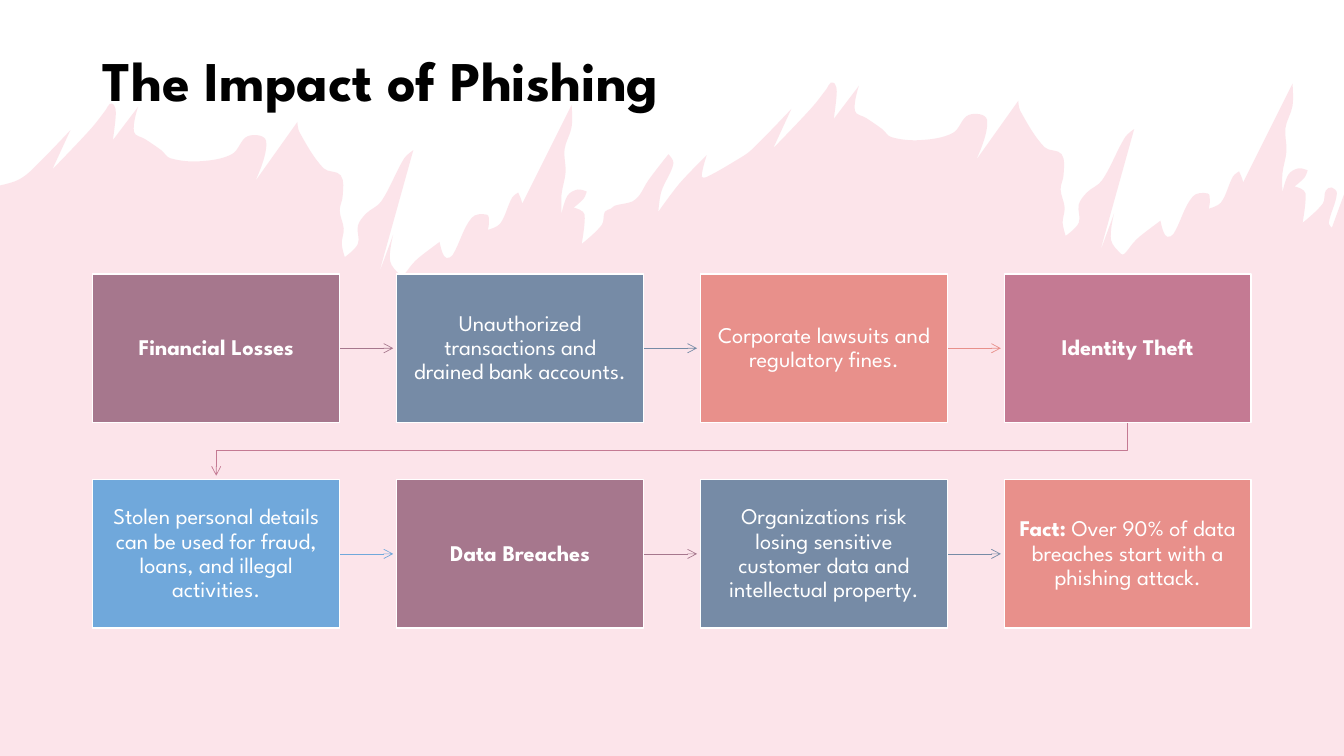
from dataclasses import dataclass
from math import dist
from typing import NamedTuple

from lxml import etree
from pptx import Presentation
from pptx import util as u
from pptx.dml.color import RGBColor
from pptx.enum import shapes, text
from pptx.oxml import ns


@dataclass(frozen=True)
class Theme:
    font: str = "League Spartan"
    title_size: int = 40
    body_size: int = 16
    black: str = "000000"
    white: str = "FFFFFF"
    flame: str = "F07C98"
    mauve: str = "A6778D"
    slate: str = "768BA6"
    coral: str = "E8908B"
    rose: str = "C47A93"
    blue: str = "70A8DB"


class Point(NamedTuple):
    x: float
    y: float


@dataclass(frozen=True)
class Step:
    color: str
    heading: str = ""
    body: str = ""


THEME = Theme()
PAGE_W, PAGE_H = 13.33, 7.5
BOX_W, BOX_H = 2.45, 1.47
LEFT, TOP = 0.92, 2.72
COLUMNS = 4
PITCH_X, PITCH_Y = 9.04 / 3, 2.04
ARROW_LENGTH = 0.53
UNITS_PER_INCH = 1000

STEPS = [
    Step(THEME.mauve, heading="Financial Losses"),
    Step(THEME.slate, body="Unauthorized transactions and drained bank accounts."),
    Step(THEME.coral, body="Corporate lawsuits and regulatory fines."),
    Step(THEME.rose, heading="Identity Theft"),
    Step(THEME.blue, body="Stolen personal details can be used for fraud, loans, and illegal activities."),
    Step(THEME.mauve, heading="Data Breaches"),
    Step(THEME.slate, body="Organizations risk losing sensitive customer data and intellectual property."),
    Step(THEME.coral, heading="Fact:", body=" Over 90% of data breaches start with a phishing attack."),
]

# The flame ridge is one stretch drawn twice, the second time shifted.
RIDGE_SHIFT = Point(7.15, -0.21)
RIDGE = [Point(*pair) for pair in (
    (0.17, 1.79), (0.3, 1.7), (0.7, 1.29), (0.52, 1.68), (0.9, 1.28), (1.05, 1.09),
    (1.09, 1.03), (1.13, 1.04), (1.15, 1.12), (1.12, 1.39), (1.37, 1.06), (1.33, 1.31),
    (1.44, 1.38), (1.6, 1.49), (1.69, 1.57), (1.98, 1.6), (2.3, 1.53), (2.46, 1.35),
    (2.64, 1.4), (2.53, 1.8), (2.95, 1.21), (2.97, 1.31), (3.21, 1.67), (3.38, 1.74),
    (3.4, 1.94), (3.37, 2.09), (3.41, 2.27), (3.39, 2.42), (3.42, 2.55), (3.55, 2.42),
    (3.55, 2.24), (3.63, 2.12), (3.78, 2), (4.01, 1.57), (4.1, 1.49), (3.76, 2.71),
    (3.9, 2.33), (3.87, 2.59), (3.97, 2.73), (4, 2.73), (4.09, 2.62), (4.15, 2.56),
    (4.36, 2.4), (4.39, 2.51), (4.43, 2.56), (4.49, 2.53), (4.68, 2.16), (4.83, 2.13),
    (4.85, 2.2), (4.84, 2.28), (4.96, 2.22), (5.08, 1.96), (5.14, 1.91), (5.17, 1.98),
    (5.18, 2.02), (5.67, 1.04), (5.67, 1.26), (5.6, 1.48), (5.61, 1.71), (5.57, 1.93),
    (5.57, 2.12), (5.63, 1.94), (5.73, 1.88), (5.82, 1.9), (5.79, 1.97), (5.69, 2.06),
    (5.75, 2.08), (5.8, 2.13), (5.77, 2.42), (5.97, 2.23), (6, 2.1), (6.06, 2.07),
)]
BRIDGE = [Point(*pair) for pair in (
    (6.1, 2.04), (6.27, 2), (6.34, 1.94), (6.43, 1.79), (6.63, 1.53), (6.68, 1.62),
    (6.56, 1.9), (6.53, 2.1), (6.74, 1.82), (7.01, 1.54), (6.96, 1.75), (7, 1.76),
)]
RIDGE_END = [Point(*pair) for pair in (
    (13.26, 1.92), (13.18, 2.21), (13.21, 2.26), (13.33, 1.93),
)]


def tangent(before: Point, here: Point, after: Point) -> Point:
    """Unit direction of the curve at a point, or zero at a sharp tip."""
    turn = (here.x - before.x) * (after.x - here.x) + (here.y - before.y) * (after.y - here.y)
    span = dist(before, after)
    if turn <= 0 or span == 0:
        return Point(0, 0)
    return Point((after.x - before.x) / span, (after.y - before.y) / span)


def smooth(outline, count: int) -> None:
    """Turns the lines between the first points into curves and keeps the sharp tips."""
    nodes = list(outline._element.iter(ns.qn("a:pt")))[:count]
    points = [Point(int(node.get("x")), int(node.get("y"))) for node in nodes]
    padded = [points[0], *points, points[-1]]
    slopes = [tangent(*trio) for trio in zip(padded, padded[1:], padded[2:])]
    for node, start, end, out, into in zip(nodes[1:], points, points[1:], slopes, slopes[1:]):
        reach = dist(start, end) / 3
        segment = node.getparent()
        curve = etree.Element(ns.qn("a:cubicBezTo"))
        for x, y in ((start.x + out.x * reach, start.y + out.y * reach),
                     (end.x - into.x * reach, end.y - into.y * reach), end):
            etree.SubElement(curve, ns.qn("a:pt"), x=str(round(x)), y=str(round(y)))
        segment.getparent().replace(segment, curve)


def add_outline(page, points: list[Point], close: bool):
    units = [(round(p.x * UNITS_PER_INCH), round(p.y * UNITS_PER_INCH)) for p in points]
    builder = page.shapes.build_freeform(*units[0], scale=u.Inches(1) / UNITS_PER_INCH)
    builder.add_line_segments(units[1:], close=close)
    outline = builder.convert_to_shape()
    outline.shadow.inherit = False
    return outline


def add_flames(page) -> None:
    shifted = [Point(p.x + RIDGE_SHIFT.x, p.y + RIDGE_SHIFT.y) for p in RIDGE]
    ridge = [Point(0, 1.84), *RIDGE, *BRIDGE, *shifted, *RIDGE_END]
    flames = add_outline(page, [*ridge, Point(PAGE_W, PAGE_H), Point(0, PAGE_H)], close=True)
    smooth(flames, len(ridge))
    flames.line.fill.background()
    flames.fill.solid()
    flames.fill.fore_color.rgb = RGBColor.from_string(THEME.flame)
    color = flames._element.spPr.find(ns.qn("a:solidFill") + "/" + ns.qn("a:srgbClr"))
    etree.SubElement(color, ns.qn("a:alpha"), val="20000")


def write(para, content: str, *, size: int, color: str, bold: bool = False) -> None:
    span = para.add_run()
    span.text = content
    span.font.name = THEME.font
    span.font.size = u.Pt(size)
    span.font.bold = bold
    span.font.color.rgb = RGBColor.from_string(color)


def format_arrow(line, color: str) -> None:
    line.color.rgb = RGBColor.from_string(color)
    line.width = u.Pt(0.5)
    etree.SubElement(line._get_or_add_ln(), ns.qn("a:tailEnd"), type="arrow")


def add_arrow(page, start: Point, color: str) -> None:
    ends = (start.x, start.y, start.x + ARROW_LENGTH, start.y)
    arrow = page.shapes.add_connector(shapes.MSO_CONNECTOR.STRAIGHT, *map(u.Inches, ends))
    format_arrow(arrow.line, color)
    etree.SubElement(arrow._element.spPr, ns.qn("a:effectLst"))


def add_return_arrow(page, start: Point, end_x: float, color: str) -> None:
    """Leads from the end of one row to the start of the next."""
    bend = start.y + 0.28
    stops = [start, Point(start.x, bend), Point(end_x, bend), Point(end_x, start.y + ARROW_LENGTH)]
    arrow = add_outline(page, stops, close=False)
    arrow.fill.background()
    format_arrow(arrow.line, color)


def add_step(page, step: Step, corner: Point) -> None:
    box = page.shapes.add_shape(shapes.MSO_SHAPE.RECTANGLE, *map(u.Inches, (*corner, BOX_W, BOX_H)))
    box.shadow.inherit = False
    box.fill.solid()
    box.fill.fore_color.rgb = RGBColor.from_string(step.color)
    box.line.color.rgb = RGBColor.from_string(THEME.white)
    box.line.width = u.Pt(1)
    frame = box.text_frame
    frame.word_wrap = True
    frame.vertical_anchor = text.MSO_ANCHOR.MIDDLE
    frame.margin_left = frame.margin_right = u.Inches(0.12)
    frame.margin_top = frame.margin_bottom = u.Inches(0.13)
    para = frame.paragraphs[0]
    para.alignment = text.PP_ALIGN.CENTER
    para.line_spacing = 0.9
    for content, bold in ((step.heading, True), (step.body, False)):
        if content:
            write(para, content, size=THEME.body_size, color=THEME.white, bold=bold)


def add_title(page, content: str) -> None:
    title = page.shapes.title
    title.left, title.top, title.width, title.height = map(u.Inches, (LEFT, 0.4, 11.5, 1.45))
    frame = title.text_frame
    frame.auto_size = text.MSO_AUTO_SIZE.NONE
    frame.vertical_anchor = text.MSO_ANCHOR.MIDDLE
    frame.margin_bottom = u.Inches(0.65)
    para = frame.paragraphs[0]
    para.alignment = text.PP_ALIGN.LEFT
    para.line_spacing = 0.9
    write(para, content, size=THEME.title_size, color=THEME.black, bold=True)


def main() -> None:
    deck = Presentation()
    deck.slide_width, deck.slide_height = u.Inches(PAGE_W), u.Inches(PAGE_H)
    page = deck.slides.add_slide(deck.slide_layouts[5])
    add_flames(page)
    add_title(page, "The Impact of Phishing")
    for i, step in enumerate(STEPS):
        row, column = divmod(i, COLUMNS)
        corner = Point(LEFT + column * PITCH_X, TOP + row * PITCH_Y)
        if column < COLUMNS - 1:
            add_arrow(page, Point(corner.x + BOX_W, corner.y + BOX_H / 2), step.color)
        elif i < len(STEPS) - 1:
            middle = Point(corner.x + BOX_W / 2, corner.y + BOX_H)
            add_return_arrow(page, middle, LEFT + BOX_W / 2, step.color)
        add_step(page, step, corner)
    deck.save("out.pptx")


if __name__ == "__main__":
    main()
